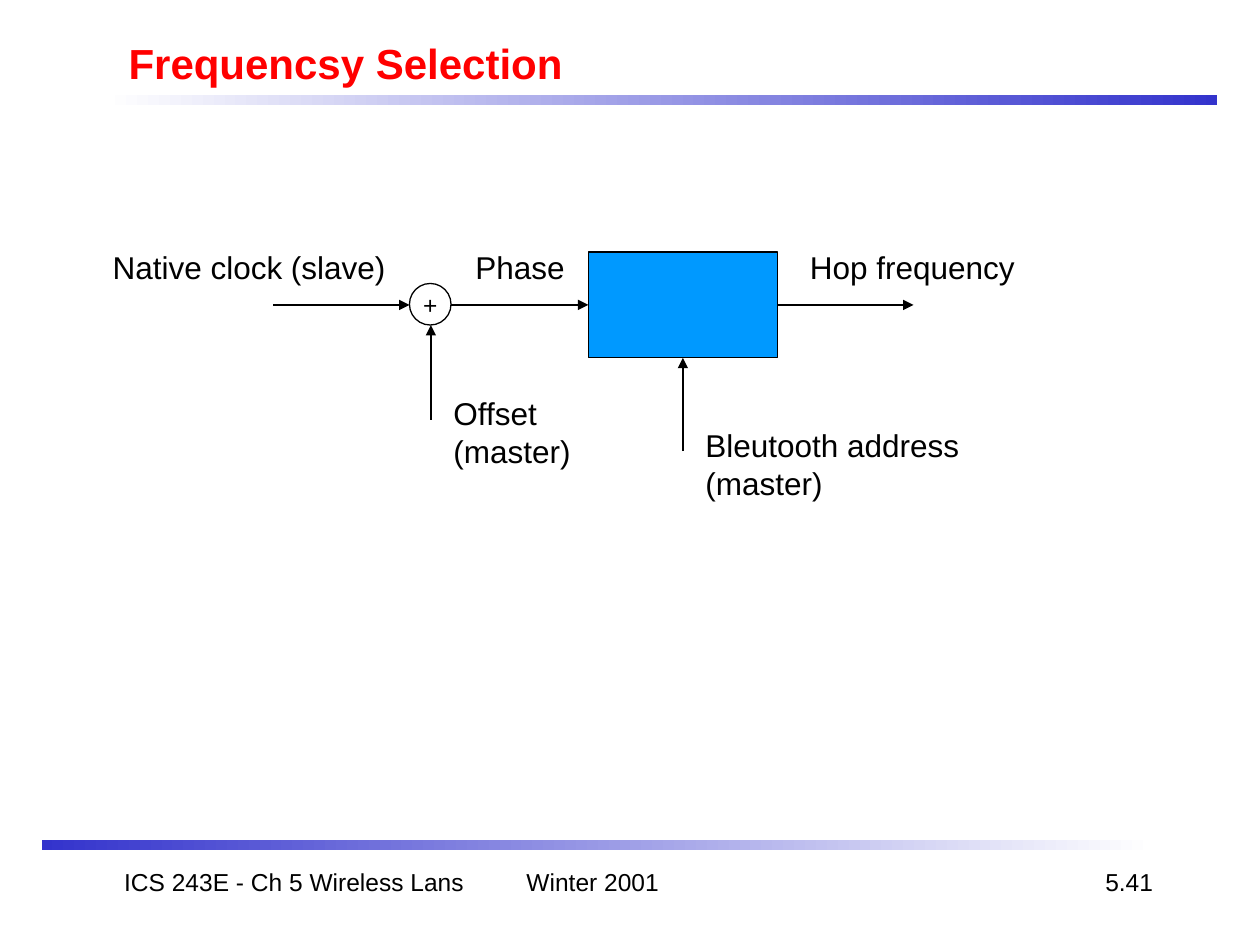
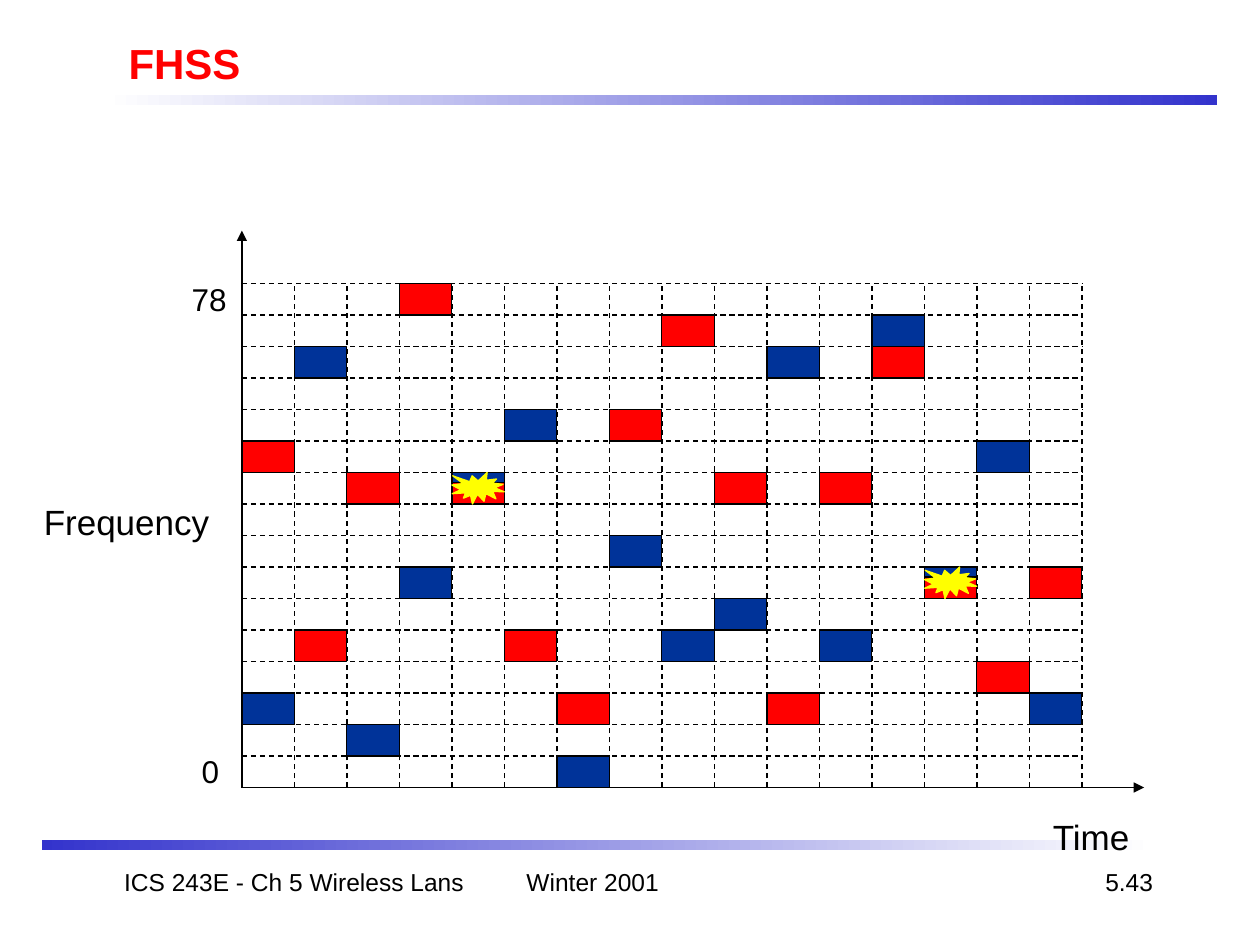
import dataclasses

import lxml.etree
import pptx
import pptx.dml.color
import pptx.enum.dml
import pptx.enum.shapes
import pptx.enum.text
import pptx.oxml.ns
import pptx.util

Inches = pptx.util.Inches
Form = pptx.enum.shapes.MSO_SHAPE
Align = pptx.enum.text.PP_ALIGN
Anchor = pptx.enum.text.MSO_ANCHOR


@dataclasses.dataclass(frozen=True)
class Theme:
    font: str = "Arial"
    black: str = "000000"
    white: str = "FFFFFF"
    red: str = "FF0000"
    navy: str = "003399"
    sky: str = "0099FF"
    band: str = "3333CC"
    yellow: str = "FFFF00"
    head: int = 24
    axis: int = 20
    label: int = 18
    small: int = 14
    line: float = 0.75


def color(code):
    return pptx.dml.color.RGBColor.from_string(code)


class Deck:
    def __init__(self, theme):
        self.theme = theme
        self.show = pptx.Presentation()
        self.show.slide_width = Inches(10)
        self.show.slide_height = Inches(7.5)
        self.slide = None

    def start(self, title, number):
        theme = self.theme
        self.slide = self.show.slides.add_slide(self.show.slide_layouts[5])
        head = self.slide.shapes.title
        head.left, head.top = Inches(0.92), Inches(0.25)
        head.width, head.height = Inches(8.5), Inches(0.5)
        self.letter(head.text_frame, title, theme.head, Align.LEFT, Anchor.MIDDLE)
        font = head.text_frame.paragraphs[0].font
        font.bold = True
        font.color.rgb = color(theme.red)
        self.band(0.83, 0.75, theme.white, theme.band)
        self.band(0.33, 6.67, theme.band, theme.white)
        self.text("ICS 243E - Ch 5 Wireless Lans", 0.75, 6.83, 3.17, 0.5,
                  theme.small, Align.CENTER)
        self.text("Winter 2001", 4.08, 6.83, 2.08, 0.5, theme.small)
        self.text(number, 7.17, 6.83, 2.08, 0.5, theme.small, Align.RIGHT)

    def letter(self, frame, words, size, align, anchor):
        frame.text = words
        frame.auto_size = pptx.enum.text.MSO_AUTO_SIZE.NONE
        frame.vertical_anchor = anchor
        part = frame.paragraphs[0]
        part.alignment = align
        part.font.name = self.theme.font
        part.font.size = pptx.util.Pt(size)
        part.font.color.rgb = color(self.theme.black)

    def text(self, words, left, top, width, height, size,
             align=Align.LEFT, anchor=Anchor.TOP, wrap=True):
        box = self.slide.shapes.add_textbox(
            Inches(left), Inches(top), Inches(width), Inches(height))
        self.letter(box.text_frame, words, size, align, anchor)
        box.text_frame.word_wrap = wrap

    def label(self, words, left, top, width, height=0.4, align=Align.LEFT):
        self.text(words, left, top, width, height, self.theme.label, align)

    def mark(self, words, left, top, width, height, size):
        self.text(words, left, top, width, height, size,
                  Align.CENTER, Anchor.MIDDLE, False)

    def shape(self, form, left, top, width, height, fill=None, edge=None):
        item = self.slide.shapes.add_shape(
            form, Inches(left), Inches(top), Inches(width), Inches(height))
        item.shadow.inherit = False
        if fill:
            item.fill.solid()
            item.fill.fore_color.rgb = color(fill)
        else:
            item.fill.background()
        item.line.color.rgb = color(edge or self.theme.black)
        item.line.width = pptx.util.Pt(self.theme.line)
        return item

    def band(self, left, top, first, last):
        bar = self.shape(Form.RECTANGLE, left, top, 8.83, 0.08)
        bar.line.fill.background()
        bar.fill.gradient()
        bar.fill.gradient_angle = 0
        for stop, code in zip(bar.fill.gradient_stops, (first, last)):
            stop.color.rgb = color(code)

    def adder(self, left, top, size):
        ring = self.shape(Form.OVAL, left, top, size, size)
        frame = ring.text_frame
        frame.margin_left = frame.margin_right = 0
        frame.margin_top = frame.margin_bottom = 0
        self.letter(frame, "+", self.theme.small, Align.CENTER, Anchor.MIDDLE)
        frame.word_wrap = False

    def line(self, x1, y1, x2, y2, dash=False):
        rule = self.slide.shapes.add_connector(
            pptx.enum.shapes.MSO_CONNECTOR.STRAIGHT,
            Inches(x1), Inches(y1), Inches(x2), Inches(y2))
        rule.line.color.rgb = color(self.theme.black)
        rule.line.width = pptx.util.Pt(self.theme.line)
        if dash:
            rule.line.dash_style = pptx.enum.dml.MSO_LINE.DASH
        props = rule._element.spPr
        lxml.etree.SubElement(props, pptx.oxml.ns.qn("a:effectLst"))
        return rule

    def arrow(self, x1, y1, x2, y2):
        rule = self.line(x1, y1, x2, y2)
        stroke = rule._element.spPr.find(pptx.oxml.ns.qn("a:ln"))
        tail = lxml.etree.SubElement(stroke, pptx.oxml.ns.qn("a:tailEnd"))
        tail.set("type", "triangle")
        return rule


def draw_hop(deck):
    deck.start("Frequencsy Selection", "5.41")
    block = deck.shape(Form.RECTANGLE, 4.67, 2, 1.5, 0.84, deck.theme.sky)
    deck.adder(3.25, 2.25, 0.33)
    deck.arrow(2.17, 2.42, 3.25, 2.42)
    deck.arrow(3.42, 3.33, 3.42, 2.58)
    deck.arrow(3.58, 2.42, 4.67, 2.42).end_connect(block, 1)
    deck.arrow(5.42, 3.58, 5.42, 2.84).end_connect(block, 2)
    deck.arrow(6.17, 2.42, 7.25, 2.42).begin_connect(block, 3)
    deck.label("Native clock (slave)", 0.33, 1.92, 2.83, align=Align.RIGHT)
    deck.label("Phase", 3.58, 1.92, 1, align=Align.RIGHT)
    deck.label("Hop frequency", 6.33, 1.92, 2.17)
    deck.label("Offset (master)", 3.5, 3.08, 1.75, 0.7)
    deck.label("Bleutooth address (master)", 5.5, 3.33, 3, 0.7)


def draw_grid(deck):
    theme = deck.theme
    deck.start("FHSS", "5.43")
    reds = [5, 11, 6, 0, 6, 11, 13, 4, 1, 6, 13, 6, 2, 9, 12, 9]
    blues = [13, 2, 14, 9, 6, 4, 15, 8, 11, 10, 2, 11, 1, 9, 5, 13]
    left, top, wide, high, count = 1.92, 2.25, 5 / 12, 0.25, len(reds)
    right, base = left + count * wide, top + count * high

    deck.arrow(left, base, left, 1.83)
    deck.arrow(left, base, 9.08, base)
    for step in range(count):
        x = left + (step + 1) * wide
        y = top + step * high
        deck.line(x, base, x, top, dash=True)
        deck.line(left, y, right, y, dash=True)

    deck.mark("Time", 8.25, 6.42, 0.82, 0.44, theme.axis)
    deck.mark("Frequency", 0.25, 3.92, 1.51, 0.44, theme.axis)
    deck.mark("0", 1.5, 5.92, 0.34, 0.4, theme.label)
    deck.mark("78", 1.42, 2.17, 0.48, 0.4, theme.label)

    for slot, (red, blue) in enumerate(zip(reds, blues)):
        x = left + slot * wide
        y = top + red * high
        clash = red == blue
        drop = 0.08 if clash else 0
        deck.shape(Form.RECTANGLE, x, top + blue * high, wide, high, theme.navy)
        deck.shape(Form.RECTANGLE, x, y + drop, wide, high - drop, theme.red)
        if clash:
            deck.shape(Form.EXPLOSION1, x, y, wide, high,
                       theme.yellow, theme.yellow)


def main():
    deck = Deck(Theme())
    draw_hop(deck)
    draw_grid(deck)
    deck.show.save("out.pptx")


if __name__ == "__main__":
    main()
